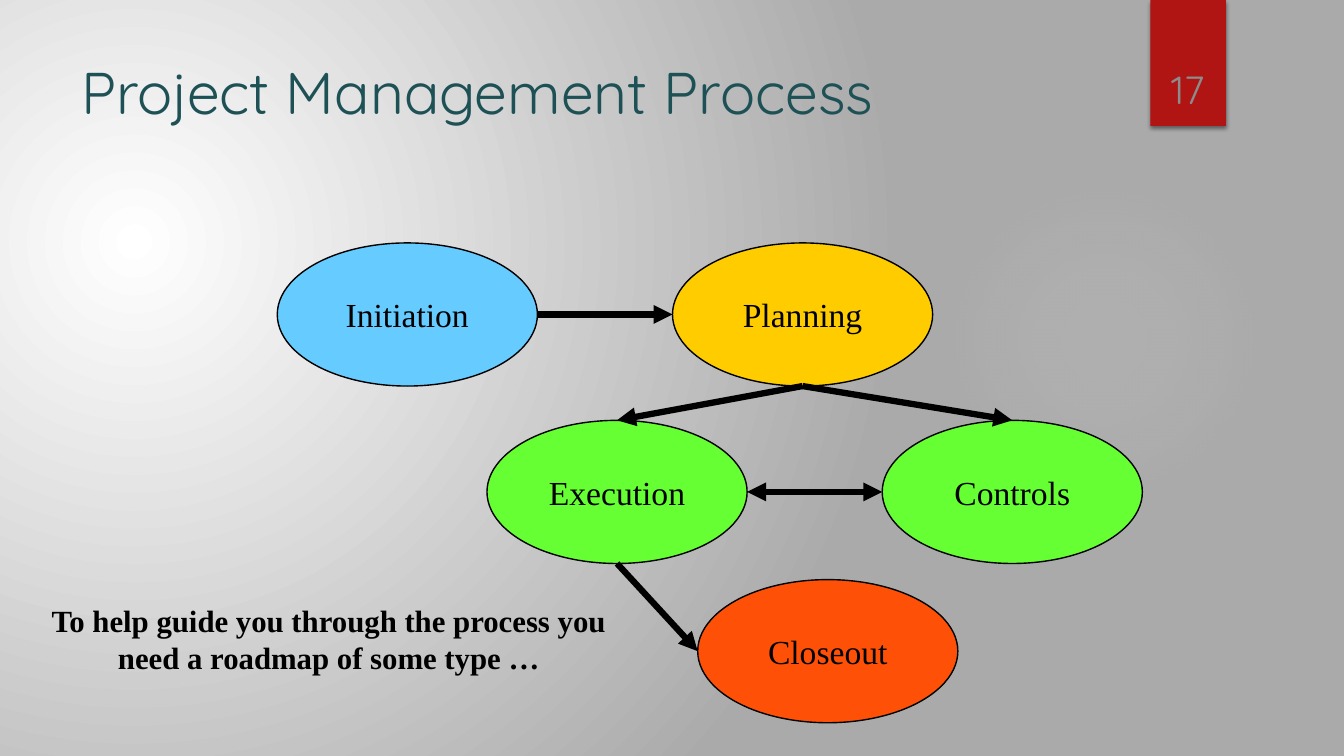
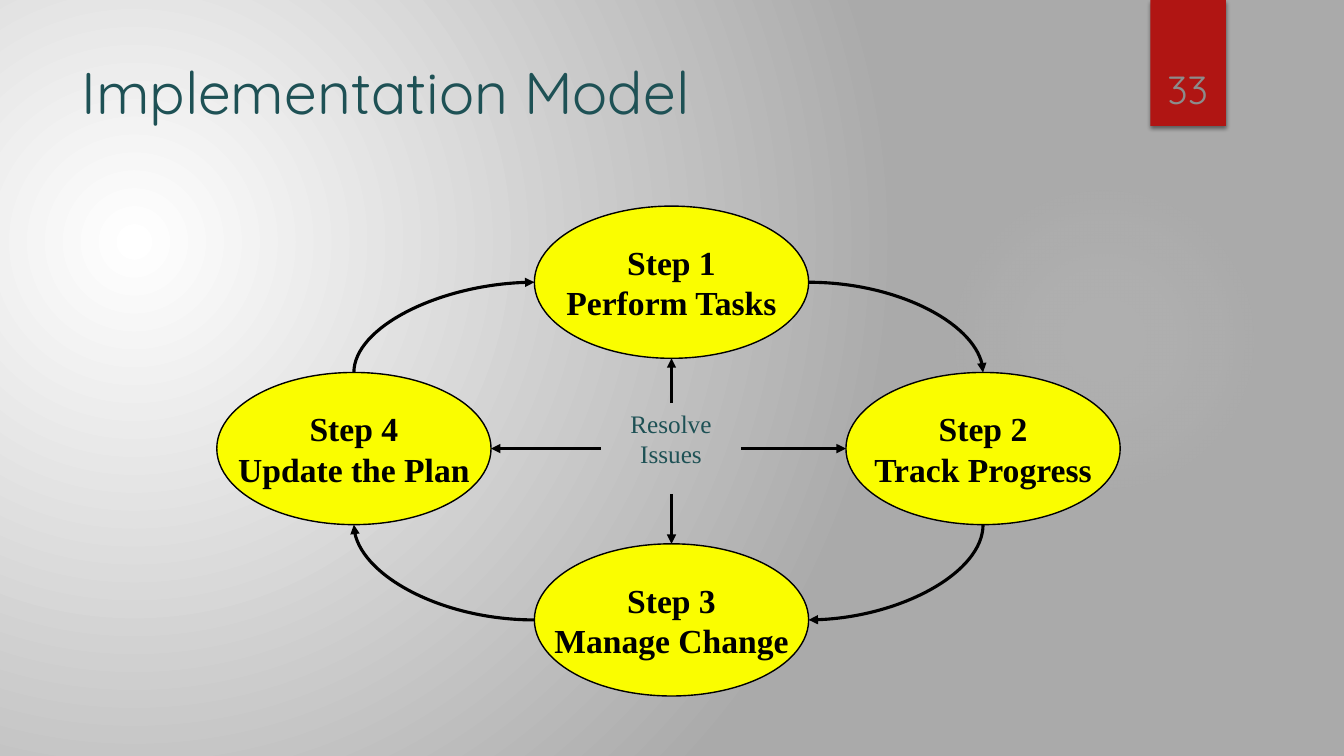
from lxml.etree import SubElement
from pptx import Presentation
from pptx.dml.color import RGBColor
from pptx.enum.shapes import MSO_CONNECTOR, MSO_SHAPE
from pptx.enum.text import MSO_ANCHOR, PP_ALIGN
from pptx.oxml.ns import qn
from pptx.util import Inches, Pt

COLORS = {
    "black": "000000", "white": "FFFFFF", "gray": "AAAAAA", "teal": "1E5155",
    "red": "B01513", "number": "8C8C8C", "glow": "F3F3F3", "blue": "66CCFF",
    "gold": "FFCC00", "green": "66FF33", "orange": "FF5008", "yellow": "FAFD00",
}
SERIF = "Times New Roman"
TITLE = {"name": "Quicksand", "size": Pt(42)}
NUMBER = {"name": "Quicksand", "size": Pt(28)}
NODE = {"name": SERIF, "size": Pt(24)}
STEP = NODE | {"bold": True}
NOTE = {"name": SERIF, "size": Pt(22), "bold": True}
HUB = {"name": SERIF, "size": Pt(18)}


def paint(color, name):
    color.rgb = RGBColor.from_string(COLORS[name])


def fill(shape, name):
    shape.fill.solid()
    paint(shape.fill.fore_color, name)


def radial(root, stops, rect):
    """Turn the first gradient under root into a circular one.

    Stops are (position, colour, opacity) in percent; rect is the
    left, top, right and bottom inset of its core in percent.
    """
    grad = next(root.iter(qn("a:gradFill")))
    for child in list(grad):
        grad.remove(child)
    group = SubElement(grad, qn("a:gsLst"))
    for place, name, alpha in stops:
        stop = SubElement(group, qn("a:gs"), pos=str(place * 1000))
        color = SubElement(stop, qn("a:srgbClr"), val=COLORS[name])
        if alpha < 100:
            SubElement(color, qn("a:alpha"), val=str(alpha * 1000))
    circle = SubElement(grad, qn("a:path"), {"path": "circle"})
    sides = {side: str(inset * 1000) for side, inset in zip("ltrb", rect)}
    SubElement(circle, qn("a:fillToRect"), sides)


def write(frame, lines, form, color, align=PP_ALIGN.CENTER,
          anchor=MSO_ANCHOR.TOP, wrap=True):
    frame.word_wrap = wrap
    frame.vertical_anchor = anchor
    frame.text = "\n".join(lines)
    for para in frame.paragraphs:
        para.alignment = align
        for key, value in form.items():
            setattr(para.font, key, value)
        paint(para.font.color, color)


def label(slide, box, text, form, color, **rest):
    area = slide.shapes.add_textbox(*map(Inches, box))
    write(area.text_frame, [text], form, color, **rest)


def plain(slide, kind, box):
    """Add a shape with neither shadow nor outline."""
    shape = slide.shapes.add_shape(kind, *map(Inches, box))
    shape.shadow.inherit = False
    shape.line.fill.background()
    return shape


def oval(slide, center, size, color, lines, form):
    box = [mid - side / 2 for mid, side in zip(center, size)] + list(size)
    shape = plain(slide, MSO_SHAPE.OVAL, box)
    fill(shape, color)
    shape.line.width = Pt(1)
    paint(shape.line.color, "black")
    write(shape.text_frame, lines, form, "black",
          anchor=MSO_ANCHOR.MIDDLE, wrap=False)
    return shape


def port(shape, side):
    """Give the middle of one side of a shape."""
    across, down = {"top": (1, 0), "left": (0, 1),
                    "bottom": (1, 2), "right": (2, 1)}[side]
    return (shape.left + shape.width * across // 2,
            shape.top + shape.height * down // 2)


def arrow(slide, start, end, weight, kind=MSO_CONNECTOR.STRAIGHT,
          tips=("tailEnd",)):
    line = slide.shapes.add_connector(kind, *start, *end)
    line.line.width = Pt(weight)
    paint(line.line.color, "black")
    props = line.element.spPr
    for tip in tips:
        SubElement(props.find(qn("a:ln")), qn("a:" + tip), type="triangle")
    SubElement(props, qn("a:effectLst"))
    return line


def arc(slide, start, end, turn):
    """Draw a quarter curve, turned clockwise by a number of right angles."""
    mid = [(a + b) // 2 for a, b in zip(start, end)]
    half = [abs(a - b) // 2 for a, b in zip(start, end)]
    if turn % 2:
        half.reverse()
    first = [m - h for m, h in zip(mid, half)]
    last = [m + h for m, h in zip(mid, half)]
    line = arrow(slide, first, last, 2.25, MSO_CONNECTOR.CURVE)
    line.element.spPr.find(qn("a:prstGeom")).set("prst", "curvedConnector2")
    line.rotation = turn * 90


def backdrop(deck):
    master = deck.slide_master
    master.background.fill.gradient()
    radial(master.element, [(0, "white", 100), (100, "gray", 100)],
           (45, 65, 125, 100))


def base(deck, title, number):
    """Add a slide with its glow, ribbon, title and number."""
    slide = deck.slides.add_slide(deck.slide_layouts[6])
    glow = plain(slide, MSO_SHAPE.OVAL, (9.41, 1.83, 3.08, 3.08))
    glow.fill.gradient()
    radial(glow.element,
           [(0, "glow", 7), (36, "glow", 6), (69, "glow", 0)], (50,) * 4)
    ribbon = plain(slide, MSO_SHAPE.RECTANGLE, (11.41, 0, 0.75, 1.25))
    fill(ribbon, "red")
    shade = SubElement(ribbon.element.spPr.find(qn("a:effectLst")),
                       qn("a:outerShdw"), blurRad=str(Pt(3)),
                       dist=str(Pt(2)), dir="5400000", rotWithShape="0")
    color = SubElement(shade, qn("a:srgbClr"), val=COLORS["black"])
    SubElement(color, qn("a:alpha"), val="45000")
    label(slide, (0.71, 0.5, 10.29, 1.53), title, TITLE, "teal",
          align=PP_ALIGN.LEFT)
    label(slide, (11.32, 0.32, 0.92, 0.84), number, NUMBER, "number",
          anchor=MSO_ANCHOR.BOTTOM)
    return slide


def process(deck):
    slide = base(deck, "Project Management Process", "17")
    nodes = {
        name: oval(slide, center, (2.58, 1.42), color, [name], NODE)
        for name, center, color in [
            ("Initiation", (4.04, 3.12), "blue"),
            ("Planning", (7.96, 3.12), "gold"),
            ("Execution", (6.12, 4.88), "green"),
            ("Controls", (10.04, 4.88), "green"),
            ("Closeout", (8.21, 6.46), "orange"),
        ]
    }
    one, both = ("tailEnd",), ("headEnd", "tailEnd")
    for start, out, end, into, tips in [
        ("Initiation", "right", "Planning", "left", one),
        ("Planning", "bottom", "Execution", "top", one),
        ("Planning", "bottom", "Controls", "top", one),
        ("Execution", "bottom", "Closeout", "left", one),
        ("Execution", "right", "Controls", "left", both),
    ]:
        arrow(slide, port(nodes[start], out), port(nodes[end], into), 4.5,
              tips=tips)
    label(slide, (0.39, 5.92, 5.74, 0.84),
          "To help guide you through the process you need a roadmap "
          "of some type …", NOTE, "black")


def model(deck):
    slide = base(deck, "Implementation Model", "33")
    steps = [
        oval(slide, center, (2.72, 1.51), "yellow", [f"Step {count}", task],
             STEP)
        for count, (task, center) in enumerate([
            ("Perform Tasks", (6.66, 2.8)),
            ("Track Progress", (9.75, 4.45)),
            ("Manage Change", (6.66, 6.15)),
            ("Update the Plan", (3.51, 4.45)),
        ], 1)
    ]
    ports = [("right", "top"), ("bottom", "right"),
             ("left", "bottom"), ("top", "left")]
    for turn, (out, into) in enumerate(ports):
        arc(slide, port(steps[turn], out),
            port(steps[(turn + 1) % len(steps)], into), turn)
    label(slide, (5.96, 4, 1.39, 0.71), "Resolve Issues", HUB, "teal")
    spokes = [((6.66, 4), "bottom"), ((7.35, 4.45), "left"),
              ((6.66, 4.9), "top"), ((5.96, 4.45), "right")]
    for step, (start, side) in zip(steps, spokes):
        arrow(slide, tuple(map(Inches, start)), port(step, side), 2.25)


def main():
    deck = Presentation()
    deck.slide_width, deck.slide_height = Inches(13.33), Inches(7.5)
    backdrop(deck)
    process(deck)
    model(deck)
    deck.save("out.pptx")


if __name__ == "__main__":
    main()
